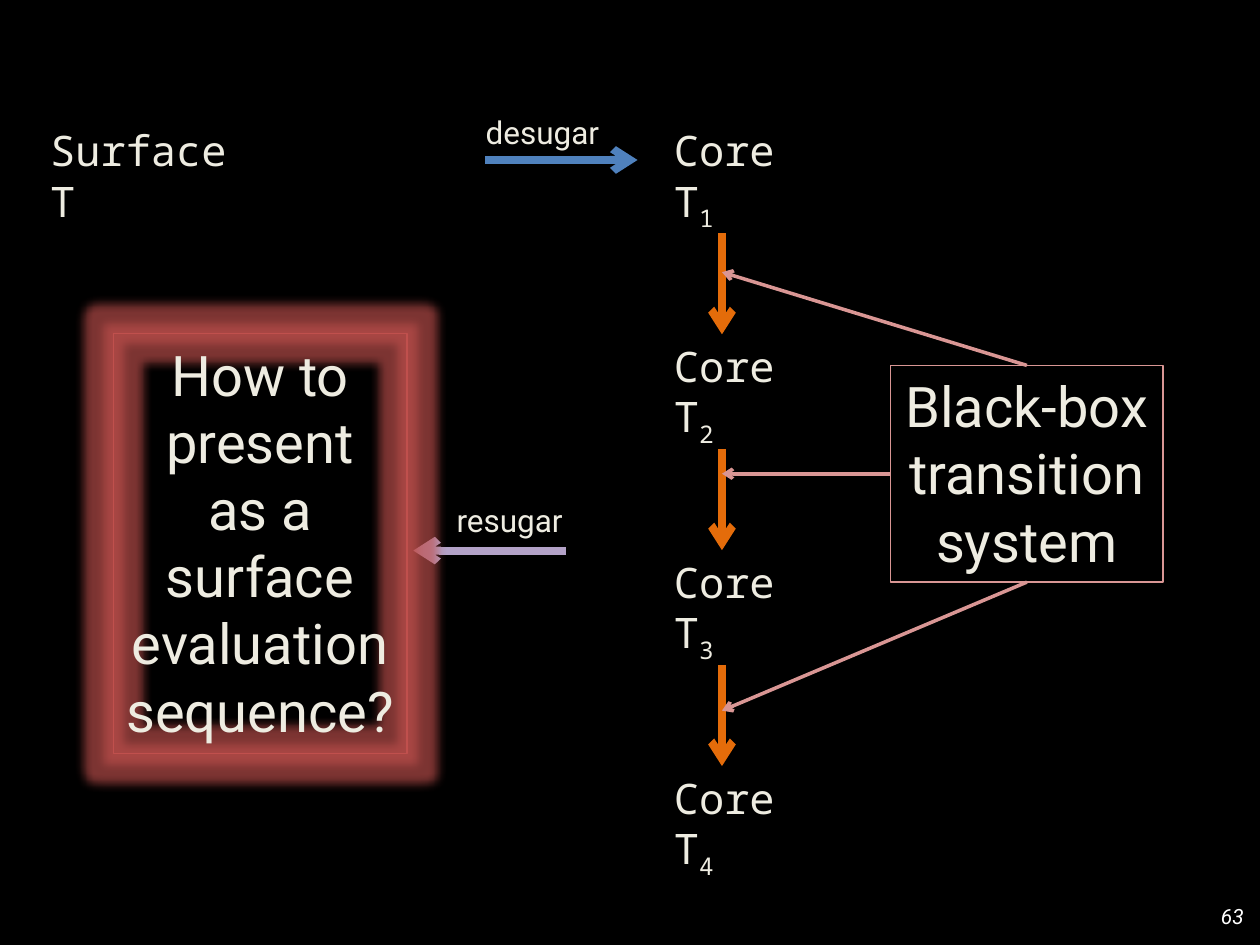
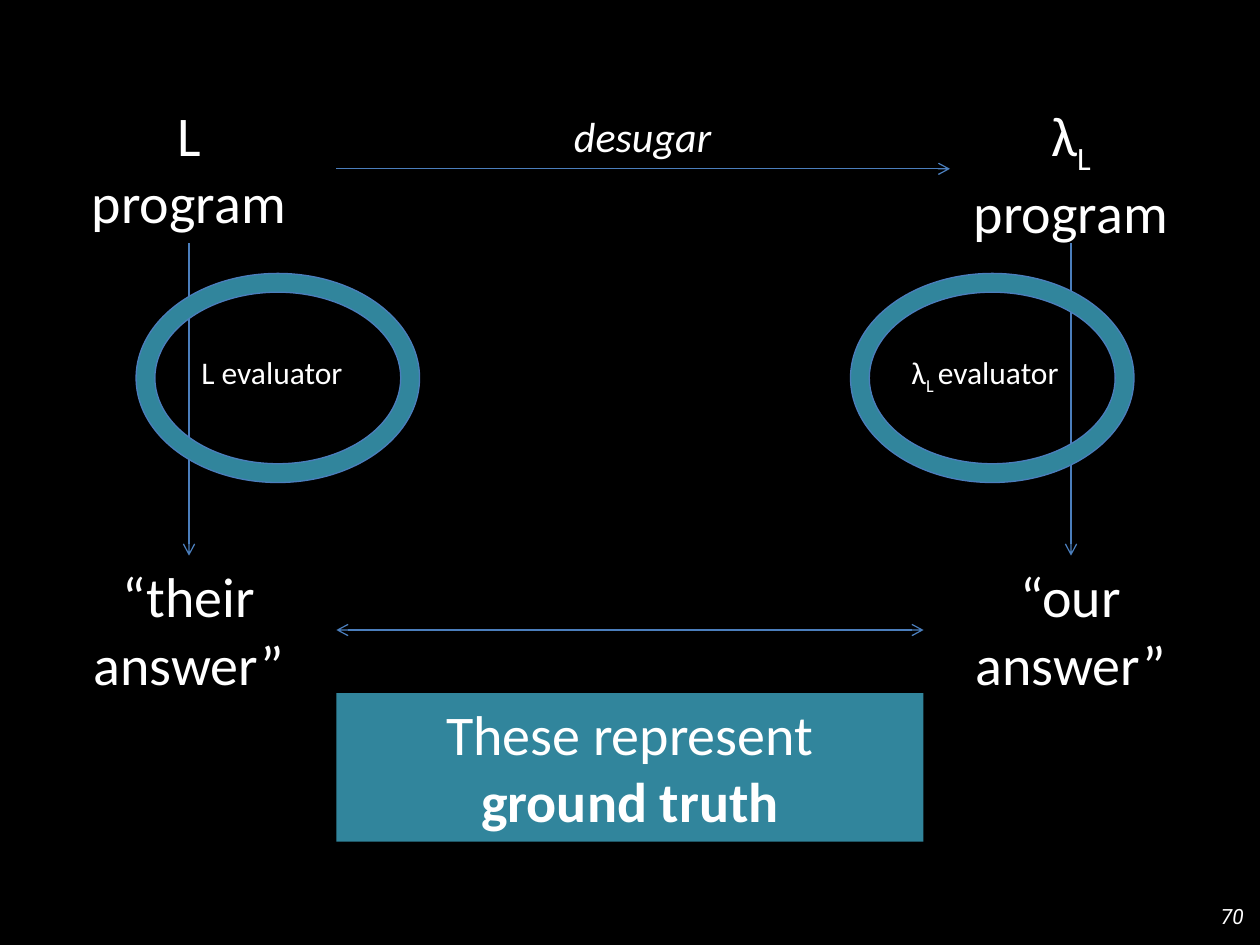
from dataclasses import dataclass

from lxml import etree
from pptx import Presentation
from pptx.dml.color import RGBColor
from pptx.enum.shapes import MSO_CONNECTOR, MSO_SHAPE
from pptx.enum.text import MSO_ANCHOR, PP_ALIGN
from pptx.oxml.ns import qn
from pptx.util import Inches, Pt

STRAIGHT = MSO_CONNECTOR.STRAIGHT
RECTANGLE, DONUT = MSO_SHAPE.RECTANGLE, MSO_SHAPE.DONUT
TOP, MIDDLE = MSO_ANCHOR.TOP, MSO_ANCHOR.MIDDLE
LEFT, CENTER, RIGHT = PP_ALIGN.LEFT, PP_ALIGN.CENTER, PP_ALIGN.RIGHT


@dataclass(frozen=True)
class Style:
    font: str
    size: int
    color: str
    italic: bool = False


@dataclass(frozen=True)
class Theme:
    background: str = "000000"
    blue: str = "4F81BD"
    thin_blue: str = "4B7EBC"
    orange: str = "E46C0A"
    lilac: str = "B3A2C7"
    pink: str = "D99694"
    red: str = "C0504D"
    teal: str = "31859C"
    hairline: float = 0.75
    pointer: float = 2
    thick: float = 4.5
    glow_radius: float = 11
    glow_opacity: int = 65
    term: Style = Style("Noto Sans Mono", 24, "EEECE1")
    step_label: Style = Style("Roboto", 18, "EEECE1")
    callout: Style = Style("Roboto", 32, "EEECE1")
    node: Style = Style("Calibri", 32, "FFFFFF")
    evaluator: Style = Style("Calibri", 18, "FFFFFF")
    edge_label: Style = Style("Calibri", 24, "FFFFFF", True)
    page_number: Style = Style("Roboto", 12, "FFFFFF", True)


THEME = Theme()


def rgb(color):
    return RGBColor.from_string(color)


def add_span(para, text, style, mark=None):
    for index, piece in enumerate(text.split("\n")):
        if index:
            para.add_line_break()
        if not piece:
            continue
        span = para.add_run()
        span.text = piece
        span.font.name = style.font
        span.font.size = Pt(style.size)
        span.font.italic = style.italic
        span.font.bold = mark == "bold"
        span.font.color.rgb = rgb(style.color)
        if mark == "sub":
            span.font._element.set("baseline", "-25000")


def fill_text(box, paragraphs, style, align, anchor=TOP, wrap=True):
    frame = box.text_frame
    frame.word_wrap = wrap
    frame.vertical_anchor = anchor
    for index, spans in enumerate(paragraphs):
        para = frame.add_paragraph() if index else frame.paragraphs[0]
        para.alignment = align
        para.font.size = Pt(style.size)
        for text, mark in spans:
            add_span(para, text, style, mark)


def plain(text):
    return [(text, None)]


def add_label(page, place, spans, style, align=CENTER, anchor=TOP):
    box = page.shapes.add_textbox(*map(Inches, place))
    fill_text(box, [spans], style, align, anchor)


def add_figure(page, kind, place, fill=None, line=None):
    figure = page.shapes.add_shape(kind, *map(Inches, place))
    figure.shadow.inherit = False
    if fill:
        figure.fill.solid()
        figure.fill.fore_color.rgb = rgb(fill)
    else:
        figure.fill.background()
    if line:
        figure.line.color.rgb = rgb(line)
        figure.line.width = Pt(THEME.hairline)
    else:
        figure.line.fill.background()
    return figure


def add_glow(figure, color):
    effects = figure._element.spPr.find(qn("a:effectLst"))
    glow = etree.SubElement(effects, qn("a:glow"), rad=str(Pt(THEME.glow_radius)))
    tint = etree.SubElement(glow, qn("a:srgbClr"), val=color)
    etree.SubElement(tint, qn("a:alpha"), val=str(THEME.glow_opacity * 1000))


def add_arrow(page, start, end, color, width, both_ends=False):
    arrow = page.shapes.add_connector(STRAIGHT, *map(Inches, start + end))
    arrow.line.color.rgb = rgb(color)
    arrow.line.width = Pt(width)
    outline = arrow.line._get_or_add_ln()
    for end_tag in ["a:headEnd", "a:tailEnd"] if both_ends else ["a:tailEnd"]:
        etree.SubElement(outline, qn(end_tag), type="arrow")
    etree.SubElement(arrow._element.spPr, qn("a:effectLst"))


def add_page(deck):
    page = deck.slides.add_slide(deck.slide_layouts[6])
    page.background.fill.solid()
    page.background.fill.fore_color.rgb = rgb(THEME.background)
    return page


def add_page_number(page, number):
    add_label(page, (7.64, 7.07, 2.33, 0.4), plain(str(number)),
              THEME.page_number, RIGHT, MIDDLE)


def build_resugaring(deck):
    page = add_page(deck)
    first_top, last_top, core_count = 0.94, 6.08, 4
    pitch = (last_top - first_top) / (core_count - 1)
    core_tops = [first_top + pitch * step for step in range(core_count)]
    transition_x = 5.73

    add_label(page, (0.3, first_top, 1.87, 0.5), plain("Surface T"), THEME.term, LEFT)
    for number, top in enumerate(core_tops, 1):
        add_label(page, (5.25, top, 1.44, 0.5),
                  [("Core T", None), (str(number), "sub")], THEME.term, LEFT)
    for top, next_top in zip(core_tops, core_tops[1:]):
        add_arrow(page, (transition_x, top + 0.91), (transition_x, next_top),
                  THEME.orange, THEME.thick)

    add_arrow(page, (3.85, 1.27), (5.06, 1.27), THEME.blue, THEME.thick)
    add_label(page, (3.7, 0.85, 1.21, 0.4), plain("desugar"), THEME.step_label)
    add_arrow(page, (4.49, 4.37), (3.28, 4.37), THEME.lilac, THEME.thick)
    add_label(page, (3.44, 3.93, 1.21, 0.4), plain("resugar"), THEME.step_label)

    question = add_figure(page, RECTANGLE, (0.9, 2.65, 2.33, 3.33), line=THEME.red)
    add_glow(question, THEME.red)
    fill_text(question, [plain("How to present\nas a\nsurface evaluation sequence?")],
              THEME.callout, CENTER)

    left, top, width, height = 7.07, 2.9, 2.16, 1.72
    system = add_figure(page, RECTANGLE, (left, top, width, height), line=THEME.pink)
    fill_text(system, [plain(word) for word in ("Black-box", "transition", "system")],
              THEME.callout, CENTER, wrap=False)
    middle = left + width / 2
    pointers = [((middle, top), 2.16), ((left, top + height / 2), 3.76),
                ((middle, top + height), 5.64)]
    for start, target_y in pointers:
        add_arrow(page, start, (transition_x, target_y), THEME.pink, THEME.pointer)
    add_page_number(page, 63)


def build_ground_truth(deck):
    page = add_page(deck)
    node_width, node_height = 2.33, 1.18
    program_top, answer_top = 0.75, 4.41
    program_y = program_top + node_height / 2
    answer_y = answer_top + node_height / 2
    left_x, right_x = 1.5, 8.5
    inner_left, inner_right = 2.67, 7.33

    nodes = [
        (left_x, program_top, plain("L\nprogram")),
        (right_x, program_top, [("λ", None), ("L", "sub"), ("\nprogram", None)]),
        (left_x, answer_top, plain("“their\nanswer”")),
        (right_x, answer_top, plain("“our\nanswer”")),
    ]
    for center, top, spans in nodes:
        add_label(page, (center - node_width / 2, top, node_width, node_height),
                  spans, THEME.node)

    add_arrow(page, (inner_left, program_y), (7.54, program_y),
              THEME.thin_blue, THEME.hairline)
    add_arrow(page, (inner_left, answer_y), (inner_right, answer_y),
              THEME.thin_blue, THEME.hairline, both_ends=True)
    add_label(page, (4.35, 0.83, 1.5, 0.5), plain("desugar"), THEME.edge_label)

    evaluators = [
        (left_x, 1.5, LEFT, plain("L evaluator"), 1.08),
        (right_x, 6.58, RIGHT,
         [("λ", None), ("L ", "sub"), ("evaluator", None)], 6.75),
    ]
    for center, label_left, align, spans, ring_left in evaluators:
        add_arrow(page, (center, program_top + node_height), (center, answer_top),
                  THEME.thin_blue, THEME.hairline)
        add_label(page, (label_left, 2.75, 1.92, 0.4), spans, THEME.evaluator, align)
        ring = add_figure(page, DONUT, (ring_left, 2.17, 2.25, 1.66),
                          THEME.teal, THEME.thin_blue)
        ring.adjustments[0] = 0.09

    banner = add_figure(page, RECTANGLE,
                        (inner_left, 5.5, inner_right - inner_left, node_height),
                        THEME.teal)
    fill_text(banner, [[("These represent\n", None), ("ground truth", "bold")]],
              THEME.node, CENTER)
    add_page_number(page, 70)


def main():
    deck = Presentation()
    deck.slide_width, deck.slide_height = Inches(10), Inches(7.5)
    build_resugaring(deck)
    build_ground_truth(deck)
    deck.save("out.pptx")


if __name__ == "__main__":
    main()
